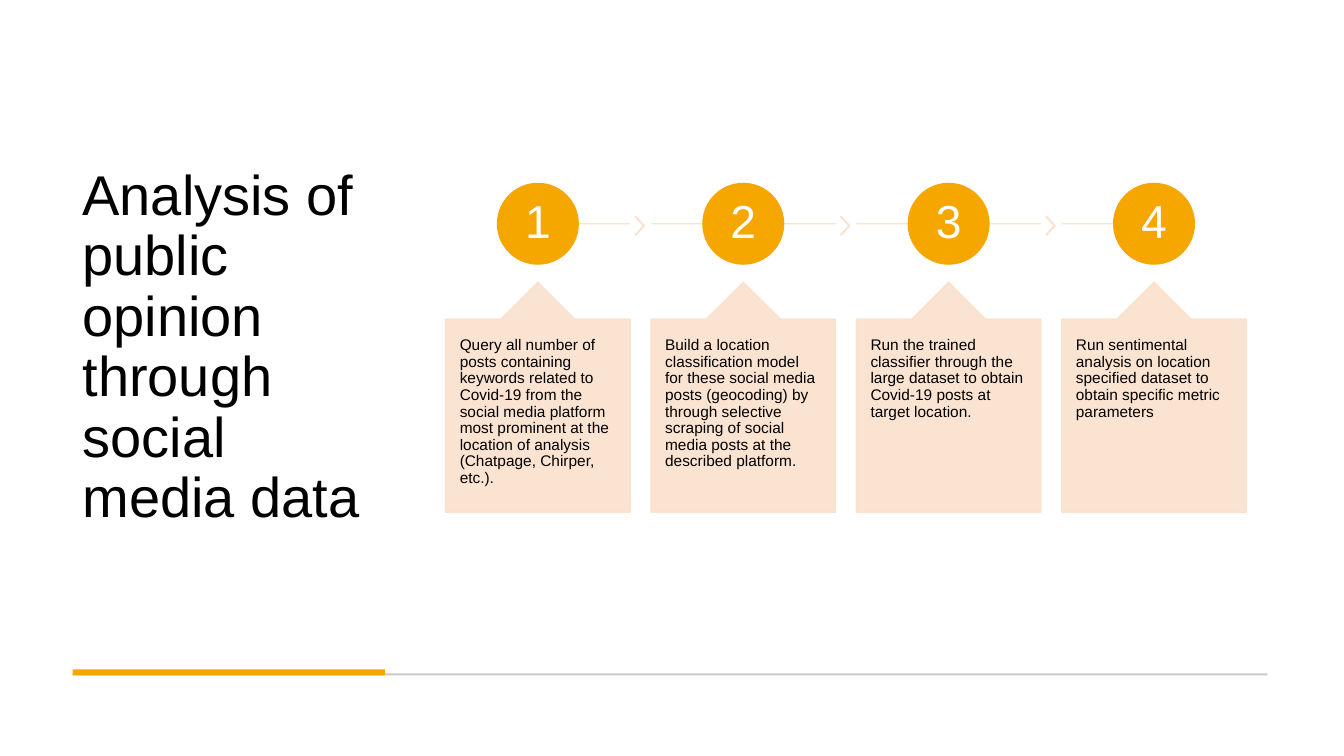
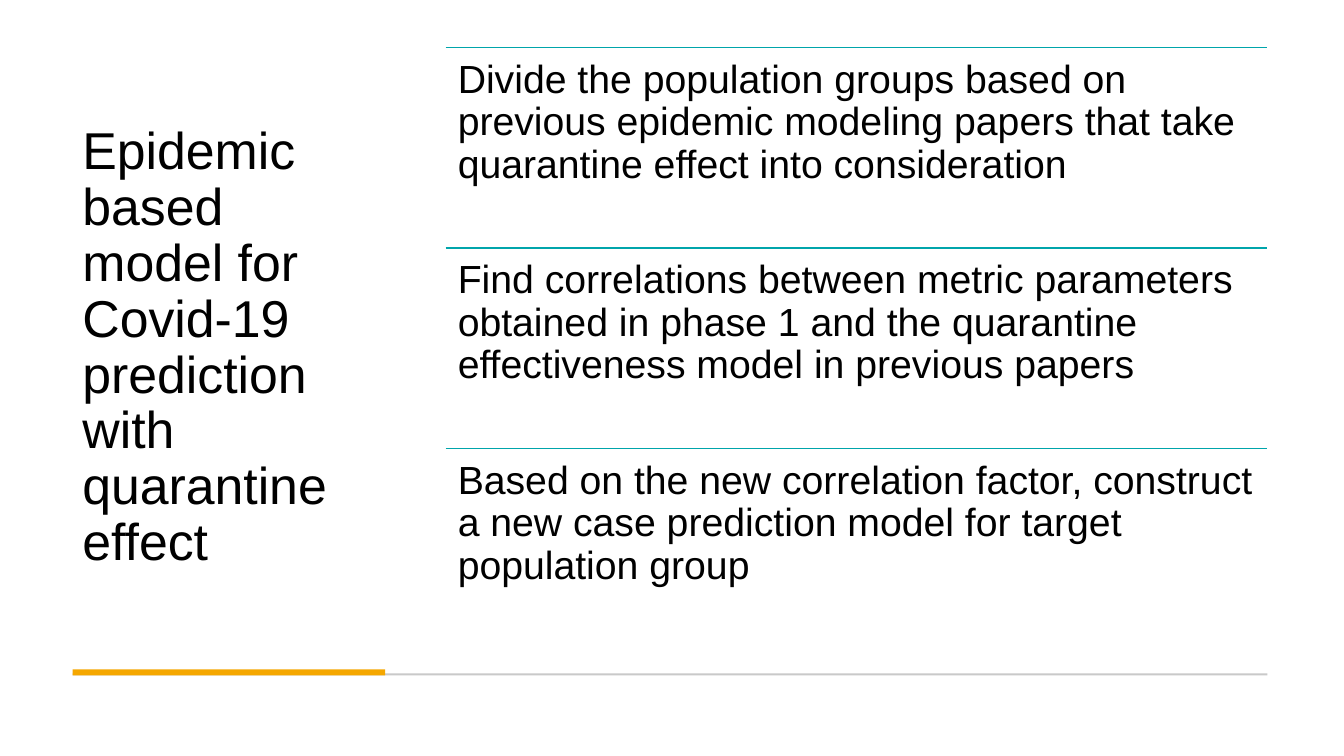
from lxml.etree import SubElement
from pptx import Presentation
from pptx.dml.color import RGBColor
from pptx.enum.shapes import MSO_CONNECTOR, MSO_SHAPE
from pptx.enum.text import MSO_ANCHOR, PP_ALIGN
from pptx.oxml.ns import qn
from pptx.util import Inches, Pt

COLORS = {
    "text": "000000",
    "white": "FFFFFF",
    "accent": "F5A700",
    "pale": "FBE1CC",
    "rule": "C9C9C9",
    "teal": "00A5AB",
}
FONT = "Arial"
MARGIN_LEFT = 0.72
CONTENT_LEFT = 4.42
CONTENT_RIGHT = 12.57
CONTENT_TOP = 0.47
CONTENT_HEIGHT = 5.97

CARD_WIDTH = 1.83
CARD_TOP = 2.8
CARD_HEIGHT = 2.28
CARD_PITCH = 2.037
CIRCLE_SIZE = 0.8
RAIL_Y = 2.22

STEPS = [
    "Query all number of posts containing keywords related to Covid-19 from the "
    "social media platform most prominent at the location of analysis "
    "(Chatpage, Chirper, etc.).",
    "Build a location classification model for these social media posts (geocoding) "
    "by through selective scraping of social media posts at the described platform.",
    "Run the trained classifier through the large dataset to obtain Covid-19 posts "
    "at target location.",
    "Run sentimental analysis on location specified dataset to obtain specific "
    "metric parameters",
]
STATEMENTS = [
    "Divide the population groups based on previous epidemic modeling papers that "
    "take quarantine effect into consideration",
    "Find correlations between metric parameters obtained in phase 1 and the "
    "quarantine effectiveness model in previous papers",
    "Based on the new correlation factor, construct a new case prediction model for "
    "target population group",
]


def color(name):
    return RGBColor.from_string(COLORS[name])


def set_alpha(fill_parent, percent):
    for color_element in fill_parent.iter(qn("a:srgbClr")):
        SubElement(color_element, qn("a:alpha"), val=str(percent * 1000))


def write_text(shape, text, size, color_name="text", inset=(0.1, 0.05),
               anchor=MSO_ANCHOR.TOP, alignment=PP_ALIGN.LEFT):
    frame = shape.text_frame
    frame.word_wrap = True
    frame.vertical_anchor = anchor
    frame.margin_left = frame.margin_right = Inches(inset[0])
    frame.margin_top = frame.margin_bottom = Inches(inset[1])
    paragraph = frame.paragraphs[0]
    paragraph.alignment = alignment
    paragraph.line_spacing = 0.9
    run = paragraph.add_run()
    run.text = text
    run.font.name = FONT
    run.font.size = Pt(size)
    run.font.color.rgb = color(color_name)


def add_text(slide, left, top, width, height, text, size, **style):
    box = slide.shapes.add_textbox(Inches(left), Inches(top), Inches(width), Inches(height))
    write_text(box, text, size, **style)


def add_block(slide, kind, left, top, width, height, color_name,
              outlined=False, alpha=None, adjustments=()):
    shape = slide.shapes.add_shape(
        kind, Inches(left), Inches(top), Inches(width), Inches(height))
    shape.shadow.inherit = False
    shape.fill.solid()
    shape.fill.fore_color.rgb = color(color_name)
    if outlined:
        shape.line.color.rgb = color(color_name)
        shape.line.width = Pt(1)
    else:
        shape.line.fill.background()
    for index, value in enumerate(adjustments):
        shape.adjustments[index] = value
    if alpha:
        set_alpha(shape.element.spPr, alpha)
    return shape


def add_line(slide, left, right, y, color_name, alpha=None):
    connector = slide.shapes.add_connector(
        MSO_CONNECTOR.STRAIGHT, Inches(left), Inches(y), Inches(right), Inches(y))
    connector.line.color.rgb = color(color_name)
    connector.line.width = Pt(1)
    properties = connector.element.spPr
    if alpha:
        set_alpha(properties, alpha)
    SubElement(properties, qn("a:effectLst"))


def add_framed_slide(presentation, title, title_size):
    slide = presentation.slides.add_slide(presentation.slide_layouts[6])
    add_text(slide, MARGIN_LEFT, CONTENT_TOP, 3.1, CONTENT_HEIGHT, title, title_size,
             anchor=MSO_ANCHOR.MIDDLE)
    add_block(slide, MSO_SHAPE.RECTANGLE, MARGIN_LEFT, 6.68,
              CONTENT_RIGHT - MARGIN_LEFT, 0.02, "rule")
    add_block(slide, MSO_SHAPE.RECTANGLE, MARGIN_LEFT, 6.64, 3.1, 0.06, "accent")
    return slide


def add_step(slide, index, text, is_last):
    left = CONTENT_LEFT + index * CARD_PITCH
    center = left + CARD_WIDTH / 2
    rail_left = center if index == 0 else left
    rail_right = center if is_last else left + CARD_WIDTH
    add_line(slide, rail_left, rail_right, RAIL_Y, "pale", alpha=90)
    if not is_last:
        add_block(slide, MSO_SHAPE.CHEVRON, left + 1.88, 2.15, 0.09, 0.18, "pale",
                  outlined=True, alpha=90, adjustments=[0.9])
    circle = add_block(slide, MSO_SHAPE.OVAL, center - CIRCLE_SIZE / 2,
                       RAIL_Y - CIRCLE_SIZE / 2, CIRCLE_SIZE, CIRCLE_SIZE, "accent",
                       outlined=True)
    write_text(circle, str(index + 1), 33, "white", inset=(0.03, 0.03),
               anchor=MSO_ANCHOR.MIDDLE, alignment=PP_ALIGN.CENTER)
    card = add_block(slide, MSO_SHAPE.UP_ARROW_CALLOUT, left, CARD_TOP, CARD_WIDTH,
                     CARD_HEIGHT, "pale", outlined=True, alpha=90,
                     adjustments=[0.5, 0.2, 0.2, 1])
    write_text(card, text, 11, inset=(0.14, 0.18))


def add_statements(slide, statements):
    row_height = CONTENT_HEIGHT / len(statements)
    for index, text in enumerate(statements):
        top = CONTENT_TOP + index * row_height
        add_line(slide, CONTENT_LEFT, CONTENT_RIGHT, top, "teal")
        add_text(slide, CONTENT_LEFT, top, CONTENT_RIGHT - CONTENT_LEFT, row_height,
                 text, 28, inset=(0.12, 0.12))


def main():
    presentation = Presentation()
    presentation.slide_width = Inches(13.33)
    presentation.slide_height = Inches(7.5)

    process_slide = add_framed_slide(
        presentation, "Analysis of public opinion through social media data", 40)
    for index, text in enumerate(STEPS):
        add_step(process_slide, index, text, index == len(STEPS) - 1)

    model_slide = add_framed_slide(
        presentation,
        "Epidemic based model for Covid-19 prediction with quarantine effect", 37)
    add_statements(model_slide, STATEMENTS)

    presentation.save("out.pptx")


if __name__ == "__main__":
    main()
